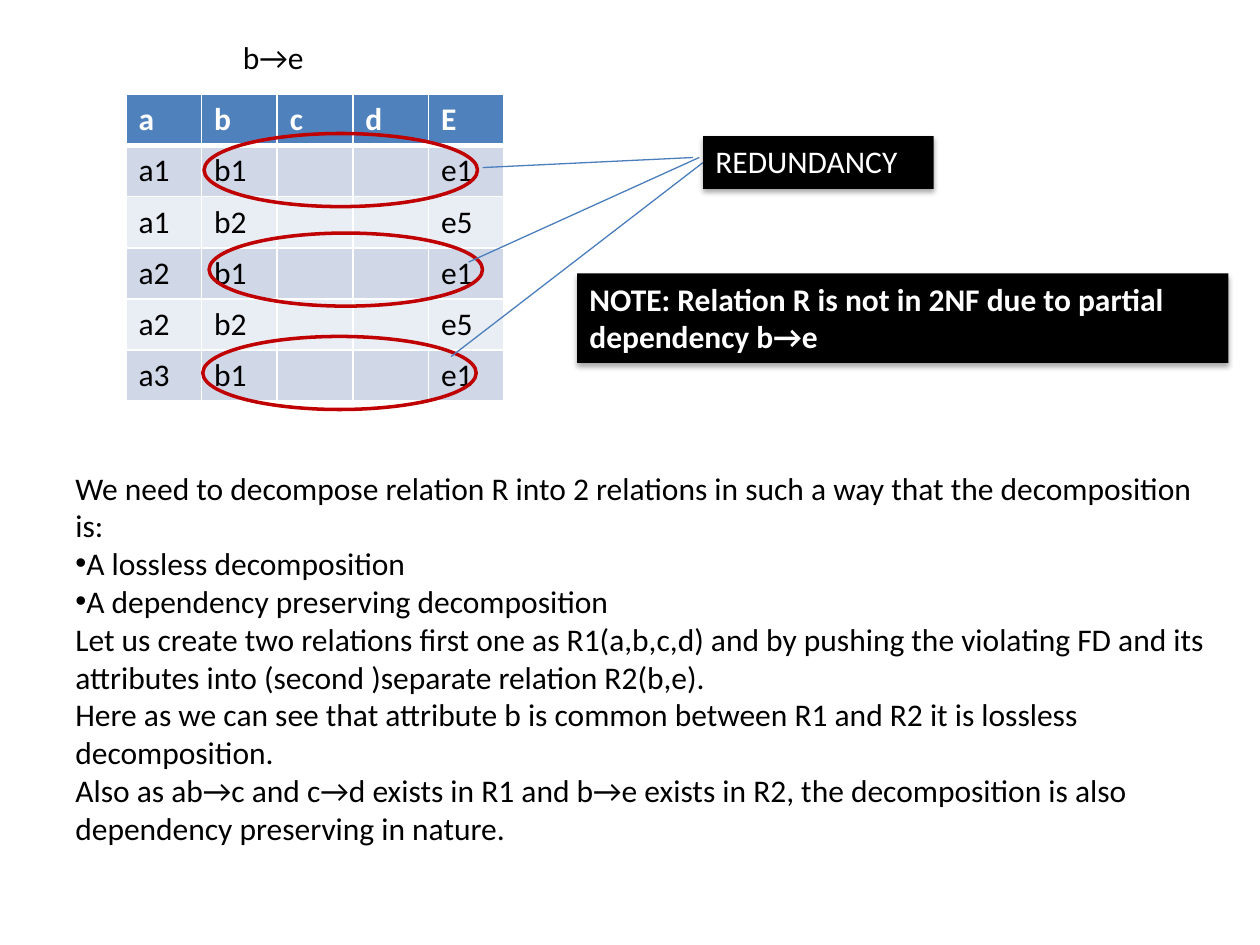
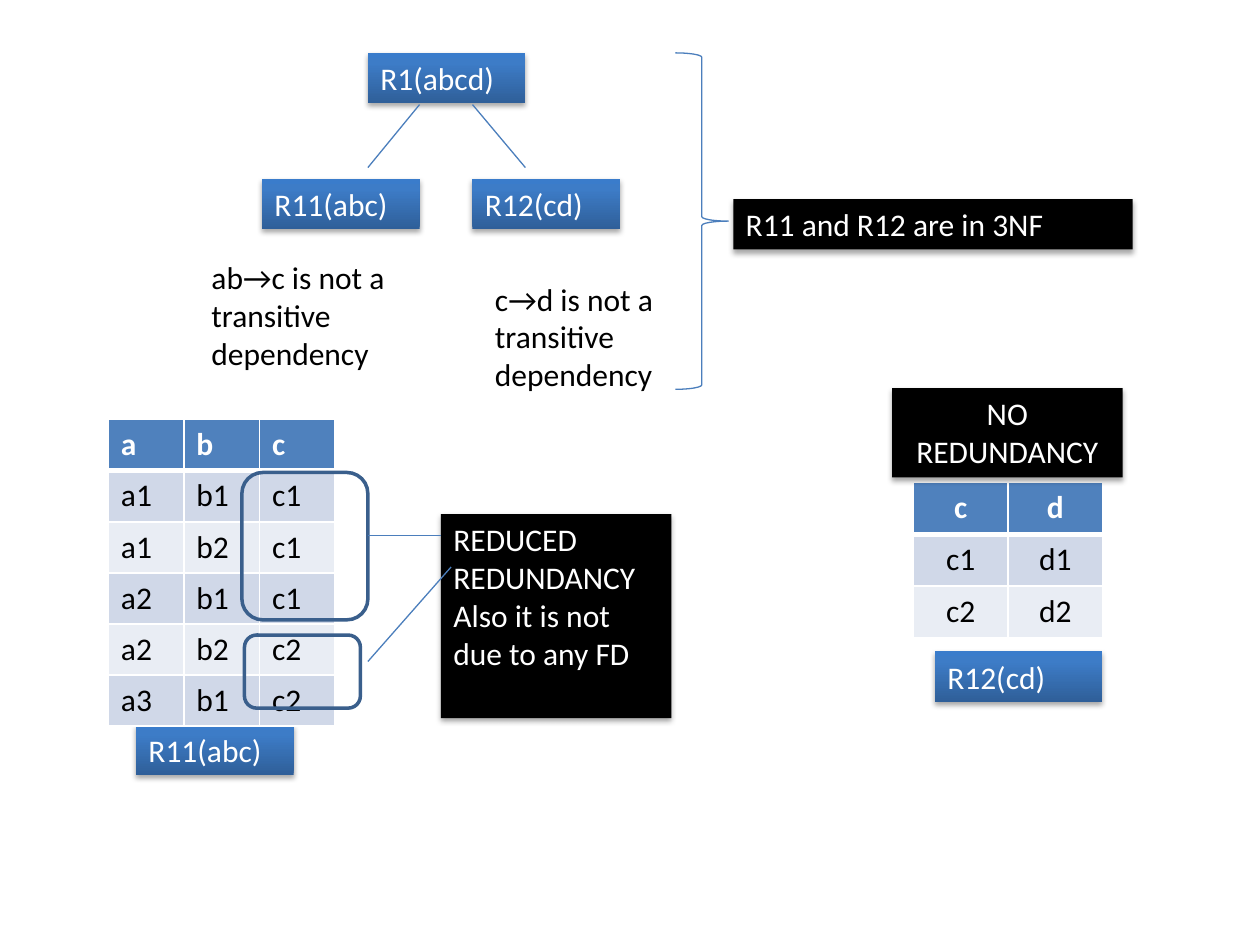
from dataclasses import dataclass

from lxml import etree
from pptx import Presentation
from pptx import util as u
from pptx.dml.color import RGBColor
from pptx.enum import shapes, text
from pptx.oxml import ns

LEFT = text.PP_ALIGN.LEFT
CENTER = text.PP_ALIGN.CENTER
BOX_LEFT_SIDE = 1


@dataclass(frozen=True)
class Theme:
    font: str = "Calibri"
    size: float = 18
    ink: str = "000000"
    paper: str = "FFFFFF"
    note: str = "000000"
    header: str = "4F81BD"
    bands: tuple = ("D0D8E8", "E9EDF4")
    rule: str = "4B7EBC"
    highlight: str = "C00000"
    frame: str = "3A5F8C"
    gradient: tuple = ((0, "2F5F99"), (0.8, "3D7CC7"), (1, "3A7CCB"))
    thin: float = 0.75
    thick: float = 2
    grid: float = 1
    header_rule: float = 3


def rgb(value):
    return RGBColor.from_string(value)


def set_values(target, values):
    for name, value in values.items():
        setattr(target, name, value)


def add_xml(parent, tag, **attributes):
    return etree.SubElement(parent, ns.qn(tag), attributes)


class Deck:
    """Holds the presentation, its theme and the slide being filled."""

    def __init__(self, theme):
        self.theme = theme
        self.presentation = Presentation()
        set_values(self.presentation, {
            "slide_width": u.Inches(10), "slide_height": u.Inches(7.5)})
        self.slide = None

    def new_slide(self):
        blank_layout = self.presentation.slide_layouts[6]
        self.slide = self.presentation.slides.add_slide(blank_layout)

    def add_words(self, paragraph, words, color, bold=False, align=LEFT):
        paragraph.alignment = align
        if not words:
            return
        run = paragraph.add_run()
        run.text = words
        set_values(run.font, {"name": self.theme.font, "bold": bold,
                              "size": u.Pt(self.theme.size)})
        run.font.color.rgb = rgb(color)

    def fill_frame(self, frame, lines, color, **style):
        """Add one paragraph per line; a leading • becomes a real bullet."""
        set_values(frame, {"word_wrap": True,
                           "auto_size": text.MSO_AUTO_SIZE.NONE,
                           "vertical_anchor": text.MSO_ANCHOR.TOP})
        for index, words in enumerate(lines):
            paragraph = frame.add_paragraph() if index else frame.paragraphs[0]
            self.add_words(paragraph, words.lstrip("•"), color, **style)
            if words.startswith("•"):
                properties = paragraph._p.get_or_add_pPr()
                properties.set("marL", "0")
                properties.set("indent", "0")
                add_xml(properties, "a:buFont", typeface="Arial")
                add_xml(properties, "a:buChar", char="•")

    def label(self, area, *lines):
        box = self.slide.shapes.add_textbox(*map(u.Inches, area))
        self.fill_frame(box.text_frame, lines, self.theme.ink)

    def shape(self, kind, area):
        shape = self.slide.shapes.add_shape(kind, *map(u.Inches, area))
        shape.shadow.inherit = False
        return shape

    def outline(self, kind, area, color, width):
        shape = self.shape(kind, area)
        shape.fill.background()
        shape.line.color.rgb = rgb(color)
        shape.line.width = u.Pt(width)

    def shadowed_box(self, area, lines, **style):
        box = self.shape(shapes.MSO_SHAPE.RECTANGLE, area)
        box.line.fill.background()
        effects = box._element.spPr.find(ns.qn("a:effectLst"))
        shadow = add_xml(effects, "a:outerShdw", blurRad="40000", dist="23000",
                         dir="5400000", rotWithShape="0")
        color = add_xml(shadow, "a:srgbClr", val=self.theme.ink)
        add_xml(color, "a:alpha", val="35000")
        self.fill_frame(box.text_frame, lines, self.theme.paper, **style)
        return box

    def note(self, area, *lines, **style):
        box = self.shadowed_box(area, lines, **style)
        box.fill.solid()
        box.fill.fore_color.rgb = rgb(self.theme.note)
        return box

    def relation(self, area, name):
        """Draw a relation name on a blue gradient."""
        box = self.shadowed_box(area, [name])
        box.fill.gradient()
        box.fill.gradient_angle = 90
        add_xml(next(box._element.spPr.iter(ns.qn("a:gsLst"))), "a:gs", pos="0")
        for stop, (position, color) in zip(box.fill.gradient_stops,
                                           self.theme.gradient):
            stop.position = position
            stop.color.rgb = rgb(color)

    def line(self, start, end):
        connector = self.slide.shapes.add_connector(
            shapes.MSO_CONNECTOR.STRAIGHT, *map(u.Inches, start + end))
        connector.line.color.rgb = rgb(self.theme.rule)
        connector.line.width = u.Pt(self.theme.thin)
        add_xml(connector._element.spPr, "a:effectLst")
        return connector

    def border(self, cell, row):
        theme = self.theme
        top = theme.header_rule if row == 1 else theme.grid
        bottom = theme.header_rule if row == 0 else theme.grid
        sides = {"L": theme.grid, "R": theme.grid, "T": top, "B": bottom}
        for side, width in sides.items():
            edge = add_xml(cell._tc.get_or_add_tcPr(), f"a:ln{side}",
                           w=str(int(u.Pt(width))))
            add_xml(add_xml(edge, "a:solidFill"), "a:srgbClr", val=theme.paper)

    def table(self, left, top, column_width, row_height, rows, align=LEFT):
        theme = self.theme
        count = len(rows[0])
        table = self.slide.shapes.add_table(
            len(rows), count, u.Inches(left), u.Inches(top),
            u.Inches(column_width * count),
            u.Inches(row_height * len(rows))).table
        for row, values in enumerate(rows):
            header = row == 0
            fill = theme.header if header else theme.bands[(row - 1) % 2]
            color = theme.paper if header else theme.ink
            for column, words in enumerate(values):
                cell = table.cell(row, column)
                self.border(cell, row)
                cell.fill.solid()
                cell.fill.fore_color.rgb = rgb(fill)
                self.add_words(cell.text_frame.paragraphs[0], words, color,
                               bold=header, align=align)


def build_redundancy_slide(deck):
    theme = deck.theme
    deck.new_slide()
    pairs = [("a1", "b1", "e1"), ("a1", "b2", "e5"), ("a2", "b1", "e1"),
             ("a2", "b2", "e5"), ("a3", "b1", "e1")]
    deck.table(1, 0.75, 0.6, 0.4,
               ["abcdE"] + [(a, b, "", "", e) for a, b, e in pairs])
    deck.label((1.83, 0.25, 1.75, 0.4), "b→e")
    for left, top in [(1.62, 1.06), (1.66, 1.85), (1.61, 2.67)]:
        deck.outline(shapes.MSO_SHAPE.OVAL, (left, top, 2.17, 0.58),
                     theme.highlight, theme.thick)
    for start, end_left in [((3.83, 1.33), 5.5), ((3.72, 2.08), 5.55),
                            ((3.58, 2.83), 5.58)]:
        pointer = deck.line(start, (end_left, 1.25))
    redundancy = deck.note((5.58, 1.08, 1.83, 0.42), "REDUNDANCY")
    pointer.end_connect(redundancy, BOX_LEFT_SIDE)
    deck.note((4.58, 2.17, 5.17, 0.71),
              "NOTE: Relation R is not in 2NF due to partial dependency b→e",
              bold=True)
    deck.label(
        (0.5, 3.67, 9.33, 3.13),
        "We need to decompose relation R into 2 relations in such a way that "
        "the decomposition is:",
        "•A lossless decomposition",
        "•A dependency preserving decomposition",
        "Let us create two relations first one as R1(a,b,c,d) and by pushing "
        "the violating FD and its attributes into (second )separate relation "
        "R2(b,e).",
        "Here as we can see that attribute b is common between R1 and R2 it is "
        "lossless decomposition.",
        "Also as ab→c and c→d exists in R1 and b→e exists in R2, the "
        "decomposition is also dependency preserving in nature.")


def build_decomposition_slide(deck):
    theme = deck.theme
    deck.new_slide()
    for left, top, width, name in [
            (2.08, 1.42, 1.25, "R11(abc)"), (2.92, 0.42, 1.25, "R1(abcd)"),
            (3.75, 1.42, 1.17, "R12(cd)"), (1.08, 5.75, 1.25, "R11(abc)"),
            (7.42, 5.17, 1.33, "R12(cd)")]:
        deck.relation((left, top, width, 0.4), name)
    deck.line((3.33, 0.83), (2.92, 1.33))
    deck.line((3.75, 0.83), (4.17, 1.33))
    deck.label((1.58, 2, 2.17, 1.01), "ab→c is not a transitive dependency")
    deck.label((3.83, 2.17, 1.75, 1.01), "c→d is not a transitive dependency")
    deck.outline(shapes.MSO_SHAPE.RIGHT_BRACE, (5.36, 0.42, 0.42, 2.67),
                 theme.rule, theme.thin)
    deck.note((5.82, 1.58, 3.17, 0.4), "R11 and R12 are in 3NF")

    deck.table(0.86, 3.33, 0.6, 0.4, [
        "abc", ("a1", "b1", "c1"), ("a1", "b2", "c1"), ("a2", "b1", "c1"),
        ("a2", "b2", "c2"), ("a3", "b1", "c2")])
    for area in [(1.92, 3.75, 1, 1.17), (1.94, 5.04, 0.92, 0.58)]:
        deck.outline(shapes.MSO_SHAPE.ROUNDED_RECTANGLE, area,
                     theme.frame, theme.thick)
    deck.note((3.5, 4.08, 1.83, 1.62), "REDUCED REDUNDANCY",
              "Also it is not due to any FD")
    deck.line((2.92, 4.25), (3.5, 4.25))
    deck.line((2.92, 5.25), (3.58, 4.5))

    deck.table(7.25, 3.83, 0.75, 0.41,
               ["cd", ("c1", "d1"), ("c2", "d2")], align=CENTER)
    deck.note((7.08, 3.08, 1.83, 0.71), "NO REDUNDANCY", align=CENTER)


def main():
    deck = Deck(Theme())
    build_redundancy_slide(deck)
    build_decomposition_slide(deck)
    deck.presentation.save("out.pptx")


if __name__ == "__main__":
    main()
